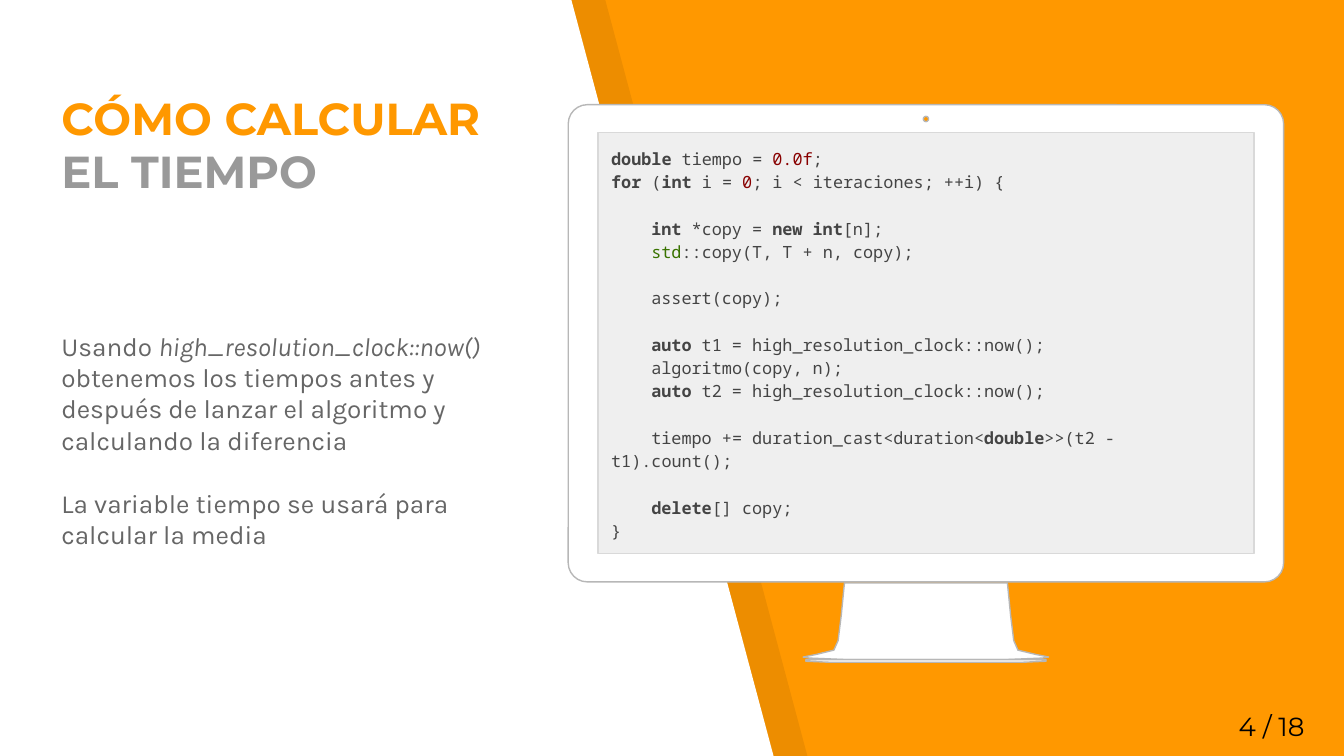
import lxml.etree
import pptx
import pptx.dml.color
import pptx.enum.shapes
import pptx.enum.text
import pptx.oxml.ns
import pptx.util

Cm, Pt = pptx.util.Cm, pptx.util.Pt
RGB = pptx.dml.color.RGBColor
KIND = pptx.enum.shapes.MSO_SHAPE
ANCHOR = pptx.enum.text.MSO_ANCHOR

ORANGE = RGB(0xFF, 0x98, 0x00)
WHITE = RGB(0xFF, 0xFF, 0xFF)
BLACK = RGB(0, 0, 0)
EDGE = RGB(0xB7, 0xB7, 0xB7)
PANEL = RGB(0xEF, 0xEF, 0xEF)
RIM = RGB(0xD9, 0xD9, 0xD9)
GREY = RGB(0x99, 0x99, 0x99)
BODY = RGB(0x66, 0x66, 0x66)
INK = RGB(0x44, 0x44, 0x44)
RED = RGB(0x88, 0, 0)
GREEN = RGB(0x39, 0x73, 0)

KEY = {"bold": True}
NUM = {"color": RED}
SPACE = {"color": GREEN}

# Each code line: blank line before it, indented, runs of (text, format)
CODE = [
    (0, 0, [("double", KEY), (" tiempo = ", {}), ("0.0f", NUM), (";", {})]),
    (0, 0, [("for", KEY), (" (", {}), ("int", KEY), (" i = ", {}),
            ("0", NUM), ("; i < iteraciones; ++i) {", {})]),
    (1, 1, [("int", KEY), (" *copy = ", {}), ("new int", KEY), ("[n];", {})]),
    (0, 1, [("std", SPACE), ("::copy(T, T + n, copy);", {})]),
    (1, 1, [("assert(copy);", {})]),
    (1, 1, [("auto", KEY), (" t1 = high_resolution_clock::now();", {})]),
    (0, 1, [("algoritmo(copy, n);", {})]),
    (0, 1, [("auto", KEY), (" t2 = high_resolution_clock::now();", {})]),
    (1, 1, [("tiempo += duration_cast<duration<", {}), ("double", KEY),
            (">>(t2 - t1).count();", {})]),
    (1, 1, [("delete", KEY), ("[] copy;", {})]),
    (0, 0, [("}", {})]),
]


def paint(shape, fill, line=None):
    shape.shadow.inherit = False
    shape.fill.solid()
    shape.fill.fore_color.rgb = fill
    if line is None:
        shape.line.fill.background()
    else:
        shape.line.color.rgb = line
        shape.line.width = Pt(0.75)


def outline(slide, points, fill, line=None):
    pts = [(Cm(x), Cm(y)) for x, y in points]
    pen = slide.shapes.build_freeform(*pts[0])
    pen.add_line_segments(pts[1:], close=True)
    shape = pen.convert_to_shape()
    paint(shape, fill, line)
    return shape


def block(slide, kind, box, fill, line=None):
    shape = slide.shapes.add_shape(kind, *map(Cm, box))
    paint(shape, fill, line)
    return shape


def setup(shape, anchor):
    frame = shape.text_frame
    form = {"word_wrap": True, "vertical_anchor": anchor}
    form.update({"margin_" + side: Cm(0.25)
                 for side in ("left", "top", "right", "bottom")})
    for name, value in form.items():
        setattr(frame, name, value)
    return frame


def write(para, runs, base):
    """Add runs of (text, format), each format laid over the base."""
    para.alignment = pptx.enum.text.PP_ALIGN.LEFT
    for text, style in runs:
        run = para.add_run()
        run.text = text
        for name, value in {**base, **style}.items():
            if name == "color":
                run.font.color.rgb = value
            else:
                setattr(run.font, name, value)


def label(slide, box, paras, base, anchor=ANCHOR.TOP, gap=0):
    """Place a text box, with the gap in points between paragraphs."""
    frame = setup(slide.shapes.add_textbox(*map(Cm, box)), anchor)
    for i, runs in enumerate(paras):
        para = frame.add_paragraph() if i else frame.paragraphs[0]
        para.space_before = Pt(gap if i else 0)
        write(para, runs, base)


def backdrop(slide, box):
    """Draw the white slanted side and the shade beside it."""
    x, y, w, h = box
    slant, shift = 3.82, 0.64
    side = [(x, y), (x + w - slant, y), (x + w, y + h), (x, y + h)]
    shade = outline(slide, [(px + shift, py) for px, py in side], BLACK)
    color = shade.fill._xPr.find(".//" + pptx.oxml.ns.qn("a:srgbClr"))
    lxml.etree.SubElement(color, pptx.oxml.ns.qn("a:alpha"), val="7000")
    outline(slide, side, WHITE)


def code(slide, box):
    panel = block(slide, KIND.RECTANGLE, box, PANEL, RIM)
    frame = setup(panel, ANCHOR.MIDDLE)
    base = {"name": "Noto Sans Mono", "size": Pt(9), "color": INK}
    for i, (gap, indent, runs) in enumerate(CODE):
        para = frame.add_paragraph() if i else frame.paragraphs[0]
        form = {"line_spacing": 1.15, "space_before": Pt(12.5 * gap)}
        for name, value in form.items():
            setattr(para, name, value)
        # Only the first line moves in, so wrapped text starts at the edge
        para._p.get_or_add_pPr().set("indent", str(Cm(0.76 * indent)))
        write(para, runs, base)


def screen(slide, box):
    """Draw the monitor, its stand and the code panel."""
    x, y, w, h = box
    mid, tall = x + w / 2, h - 1.52
    stand = [(1.54, 9.04), (1.6, 9.65), (1.66, 10.13), (1.74, 10.31),
             (2.07, 10.39), (2.32, 10.44), (2.2, 10.46), (1.46, 10.49)]
    foot = [(2.27, 10.49), (2.27, 10.52), (1.79, 10.54), (0.88, 10.54)]
    for half in (stand, foot):
        left = [(mid - dx, y + dy) for dx, dy in half]
        right = [(mid + dx, y + dy) for dx, dy in reversed(half)]
        outline(slide, left + right, WHITE, EDGE)
    case = block(slide, KIND.ROUNDED_RECTANGLE, (x, y, w, tall), WHITE, EDGE)
    case.adjustments[0] = 0.04
    dot = 0.1
    block(slide, KIND.OVAL, (mid - dot / 2, y + 0.22, dot, dot), ORANGE, EDGE)
    code(slide, (x + 0.56, y + 0.53, w - 1.12, 7.95))


def main():
    deck = pptx.Presentation()
    deck.slide_width, deck.slide_height = Cm(25.4), Cm(14.29)
    slide = deck.slides.add_slide(deck.slide_layouts[6])
    slide.background.fill.solid()
    slide.background.fill.fore_color.rgb = ORANGE

    backdrop(slide, (0, 0, 14.62, 14.29))
    screen(slide, (10.74, 1.98, 13.52, 10.54))
    label(slide, (0.91, 2.64, 8.74, 1.35),
          [[("CÓMO CALCULAR", {"color": ORANGE}), (" EL TIEMPO", {})]],
          {"name": "Montserrat", "size": Pt(24), "bold": True, "color": GREY},
          ANCHOR.BOTTOM)
    label(slide, (0.91, 5.99, 9.09, 4.98),
          [[("Usando ", {}),
            ("high_resolution_clock::now() ", {"italic": True}),
            ("obtenemos los tiempos antes y después de lanzar el algoritmo "
             "y calculando la diferencia", {})],
           [("La variable tiempo se usará para calcular la media", {})]],
          {"name": "Karla", "size": Pt(14), "color": BODY}, gap=16.8)
    label(slide, (23.16, 13.18, 2.13, 1.09), [[("4 / 18", {})]],
          {"name": "Montserrat", "size": Pt(14), "color": BLACK},
          ANCHOR.MIDDLE)
    deck.save("out.pptx")


if __name__ == "__main__":
    main()
